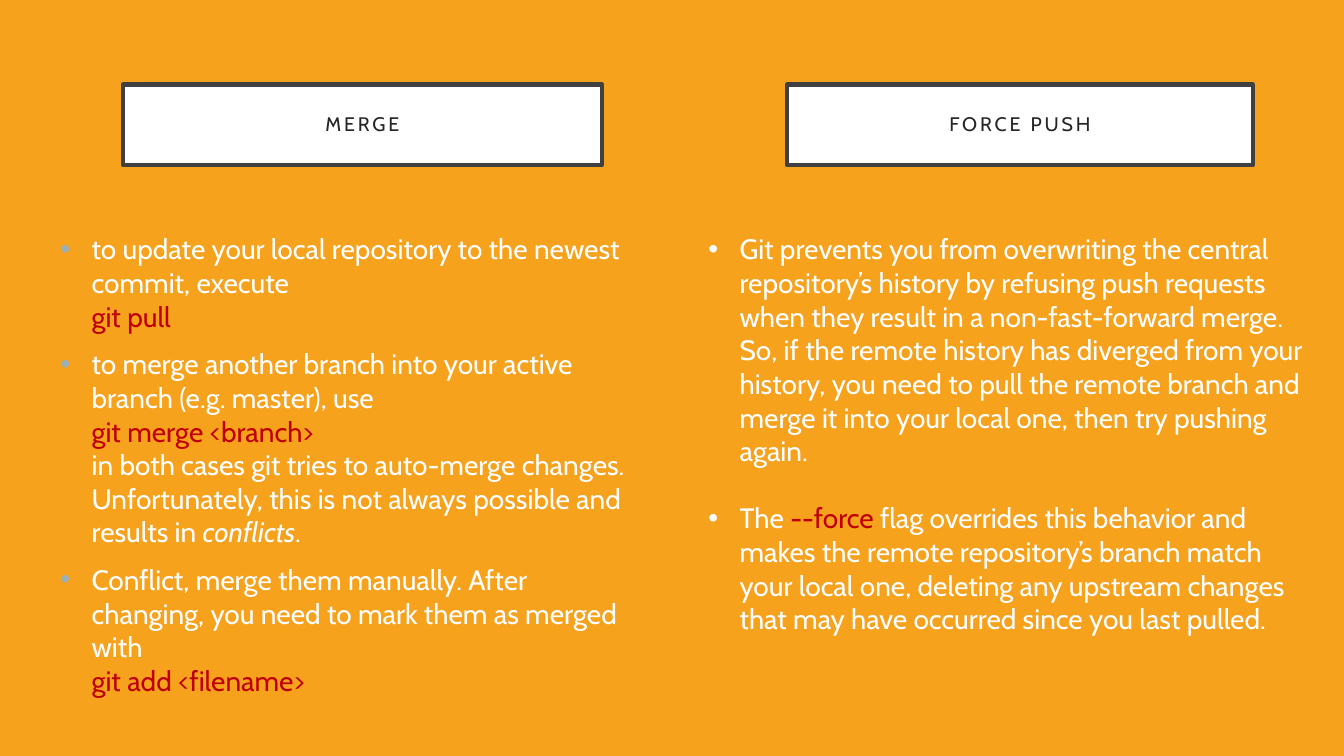
import pptx
import pptx.util
import pptx.dml.color
import pptx.enum.shapes
import pptx.enum.text
import pptx.oxml.ns
from lxml import etree
from pptx.util import Cm, Pt

COLORS = {
    "background": "F6A21D",
    "white": "FFFFFF",
    "frame": "404040",
    "heading": "262626",
    "code": "C00000",
    "gray": "9BAFB5",
}
FONT = "Cabin"
BREAK = ("\n", "break")

MERGE = [
    [("to update your local repository to the newest commit, execute", "plain"),
     BREAK, ("git pull", "code")],
    [("to merge another branch into your active branch (e.g. master), use", "plain"),
     BREAK, ("git merge <branch>", "code"), BREAK,
     ("in both cases git tries to auto-merge changes. Unfortunately, this is "
      "not always possible and results in ", "plain"),
     ("conflicts", "italic"), (".", "plain")],
    [("Conflict, merge them manually. After changing, you need to mark them "
      "as merged with", "plain"),
     BREAK, ("git add <filename>", "code")],
]
FORCE_PUSH = [
    [("Git prevents you from overwriting the central repository’s history by "
      "refusing push requests when they result in a non-fast-forward merge. "
      "So, if the remote history has diverged from your history, you need to "
      "pull the remote branch and merge it into your local one, then try "
      "pushing again.", "plain")],
    [("The ", "plain"), ("--force", "code"),
     (" flag overrides this behavior and makes the remote repository’s branch "
      "match your local one, deleting any upstream changes that may have "
      "occurred since you last pulled.", "plain")],
]


def rgb(name):
    return pptx.dml.color.RGBColor.from_string(COLORS[name])


def style_run(r, size, color):
    r.font.name = FONT
    r.font.size = Pt(size)
    r.font.color.rgb = rgb(color)


def set_bullet(p, color):
    pPr = p._p.get_or_add_pPr()
    pPr.set("marL", str(Cm(0.79)))
    pPr.set("indent", str(-Cm(0.79)))
    qn = pptx.oxml.ns.qn
    clr = etree.SubElement(pPr, qn("a:buClr"))
    etree.SubElement(clr, qn("a:srgbClr"), val=COLORS[color])
    etree.SubElement(pPr, qn("a:buFont"), typeface="Arial")
    etree.SubElement(pPr, qn("a:buChar"), char="•")


def add_heading(s, box, text):
    sp = s.shapes.add_shape(pptx.enum.shapes.MSO_SHAPE.RECTANGLE, *map(Cm, box))
    sp.shadow.inherit = False
    sp.fill.solid()
    sp.fill.fore_color.rgb = rgb("white")
    sp.line.color.rgb = rgb("frame")
    sp.line.width = Pt(3)
    tf = sp.text_frame
    tf.word_wrap = True
    tf.vertical_anchor = pptx.enum.text.MSO_ANCHOR.MIDDLE
    tf.margin_left = tf.margin_right = Cm(0.76)
    tf.margin_top = tf.margin_bottom = Cm(0.51)
    tf.text = text
    p = tf.paragraphs[0]
    p.alignment = pptx.enum.text.PP_ALIGN.CENTER
    p.line_spacing = 0.9
    r = p.runs[0]
    style_run(r, 14, "heading")
    r._r.get_or_add_rPr().set("spc", "200")


def add_bullets(s, box, items, gap, bullet_color):
    tf = s.shapes.add_textbox(*map(Cm, box)).text_frame
    tf.word_wrap = True
    for i, item in enumerate(items):
        p = tf.add_paragraph() if i else tf.paragraphs[0]
        p.space_before = Pt(gap if i else 0)
        set_bullet(p, bullet_color)
        for text, kind in item:
            if kind == "break":
                p.add_line_break()
                continue
            r = p.add_run()
            r.text = text
            style_run(r, 20, "code" if kind == "code" else "white")
            if kind == "italic":
                r.font.italic = True


def add_column(s, heading_box, heading, body_box, items, gap, bullet_color):
    add_heading(s, heading_box, heading)
    add_bullets(s, body_box, items, gap, bullet_color)


def build_slide(prs):
    s = prs.slides.add_slide(prs.slide_layouts[6])
    s.background.fill.solid()
    s.background.fill.fore_color.rgb = rgb("background")
    add_column(s, (3.1, 2.13, 12.07, 2.03), "MERGE",
               (1.27, 5.72, 15.09, 11.05), MERGE, 10, "gray")
    add_column(s, (19.84, 2.13, 11.73, 2.03), "FORCE PUSH",
               (17.6, 5.72, 15.57, 10.52), FORCE_PUSH, 24, "white")


prs = pptx.Presentation()
prs.slide_width = Cm(33.87)
prs.slide_height = Cm(19.05)
build_slide(prs)
prs.save("out.pptx")
